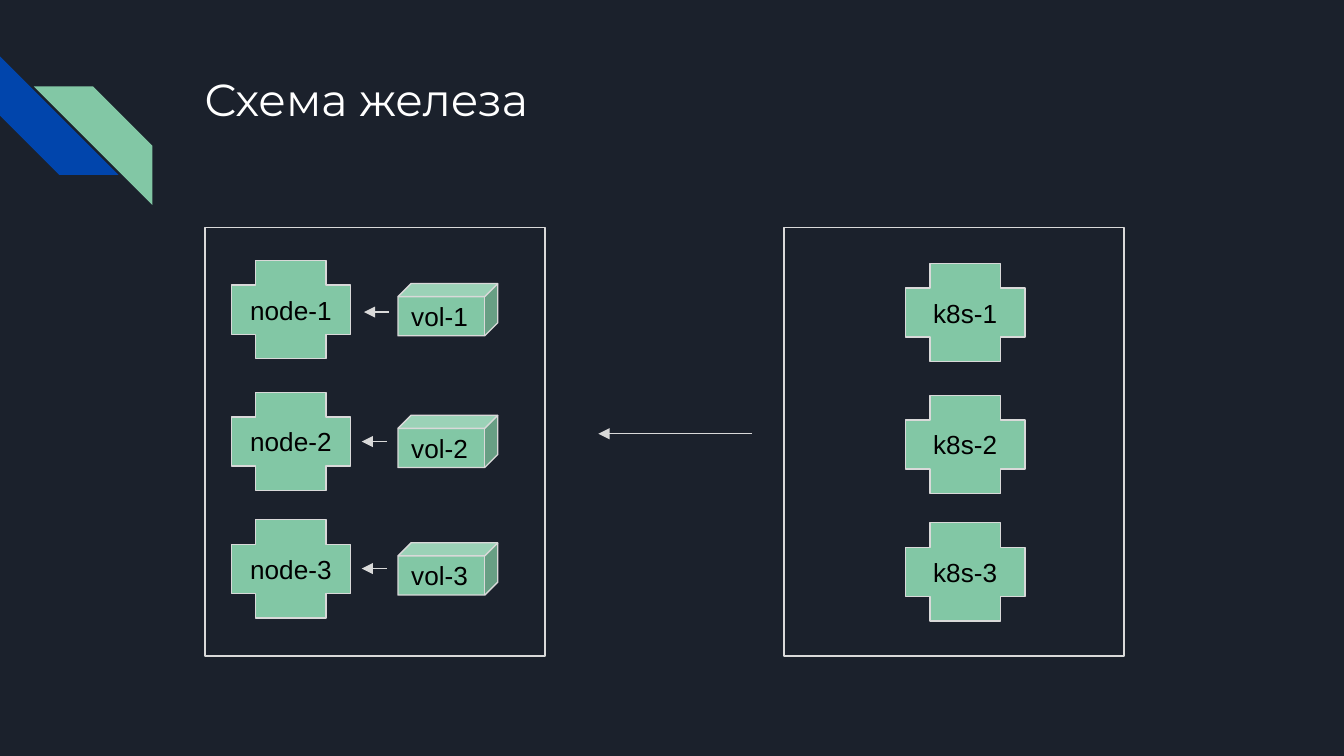
from lxml.etree import SubElement
from pptx import Presentation
from pptx.dml.color import RGBColor
from pptx.enum.shapes import MSO_CONNECTOR, MSO_SHAPE
from pptx.enum.text import MSO_ANCHOR, PP_ALIGN
from pptx.oxml.ns import qn
from pptx.util import Pt

# Content
TITLE = "Схема железа"
ROWS = [("node-1", "vol-1", "k8s-1"),
        ("node-2", "vol-2", "k8s-2"),
        ("node-3", "vol-3", "k8s-3")]

THEME = {
    "background": "1B212C", "blue": "0145AC", "green": "82C7A5",
    "line": "D9D9D9", "title": "FFFFFF", "label": "000000",
    "title_font": "Montserrat", "label_font": "Arial",
    "title_size": 24, "label_size": 14, "line_width": 0.75,
}

# Layout, in points
ROW_TOPS = [139.6, 210.2, 278.5]
ROW_ARROWS = [(208.2, 195, 167.2), (207.2, 193.8, 236.6), (207.2, 193.8, 304.6)]
NODE_LEFT, K8S_LEFT, VOLUME_LEFT = 123.9, 485.1, 213.2
CROSS_SIZE, VOLUME_SIZE = (64, 52.6), (53.5, 28)
K8S_DROP, VOLUME_DROP = 1.6, 12.3
FRAME_LEFTS, FRAME_TOP, FRAME_SIZE = [109.8, 420], 121.8, (182.2, 229.6)
STRIPE_SIZE = (63.5, 63.5)
STRIPES = [(0, 30.2, "blue", 270), (18.1, 46.3, "green", 90)]


def color(key):
    return RGBColor.from_string(THEME[key])


def write(shape, text, role="label", align=PP_ALIGN.LEFT, anchor=MSO_ANCHOR.MIDDLE):
    frame = shape.text_frame
    frame.word_wrap = True
    frame.vertical_anchor = anchor
    frame.margin_left = frame.margin_right = Pt(7.2)
    frame.margin_top = frame.margin_bottom = Pt(7.2)
    paragraph = frame.paragraphs[0]
    paragraph.alignment = align
    run = paragraph.add_run()
    run.text = text
    run.font.name = THEME[role + "_font"]
    run.font.size = Pt(THEME[role + "_size"])
    run.font.color.rgb = color(role)


def add_block(slide, kind, left, top, size, fill=None, outlined=True):
    block = slide.shapes.add_shape(kind, Pt(left), Pt(top), Pt(size[0]), Pt(size[1]))
    block.shadow.inherit = False
    if fill:
        block.fill.solid()
        block.fill.fore_color.rgb = color(fill)
    else:
        block.fill.background()
    if outlined:
        block.line.color.rgb = color("line")
        block.line.width = Pt(THEME["line_width"])
    else:
        block.line.fill.background()
    return block


def add_arrow(slide, start, end, y):
    arrow = slide.shapes.add_connector(
        MSO_CONNECTOR.STRAIGHT, Pt(start), Pt(y), Pt(end), Pt(y))
    arrow.line.color.rgb = color("line")
    arrow.line.width = Pt(THEME["line_width"])
    SubElement(arrow.line._get_or_add_ln(), qn("a:tailEnd"), type="triangle")
    SubElement(arrow._element.spPr, qn("a:effectLst"))


def main():
    deck = Presentation()
    deck.slide_width, deck.slide_height = Pt(720), Pt(405)
    slide = deck.slides.add_slide(deck.slide_layouts[6])
    slide.background.fill.solid()
    slide.background.fill.fore_color.rgb = color("background")

    # Corner stripes
    for left, top, fill, angle in STRIPES:
        stripe = add_block(slide, MSO_SHAPE.DIAGONAL_STRIPE, left, top, STRIPE_SIZE,
                           fill, outlined=False)
        stripe.rotation = angle

    # Title
    heading = slide.shapes.add_textbox(Pt(102.4), Pt(31), Pt(554.4), Pt(39.6))
    write(heading, TITLE, role="title", anchor=MSO_ANCHOR.TOP)

    # Frames of the two clusters
    for left in FRAME_LEFTS:
        add_block(slide, MSO_SHAPE.RECTANGLE, left, FRAME_TOP, FRAME_SIZE)

    # Machines with their volumes
    for (node, volume, k8s), top, arrow in zip(ROWS, ROW_TOPS, ROW_ARROWS):
        for text, left, drop in [(node, NODE_LEFT, 0), (k8s, K8S_LEFT, K8S_DROP)]:
            cross = add_block(slide, MSO_SHAPE.CROSS, left, top + drop, CROSS_SIZE, "green")
            write(cross, text, align=PP_ALIGN.CENTER)
        cube = add_block(slide, MSO_SHAPE.CUBE, VOLUME_LEFT, top + VOLUME_DROP,
                         VOLUME_SIZE, "green")
        write(cube, volume)
        add_arrow(slide, *arrow)

    # Link between the clusters
    add_arrow(slide, 403, 320.6, 232.4)

    deck.save("out.pptx")


if __name__ == "__main__":
    main()
